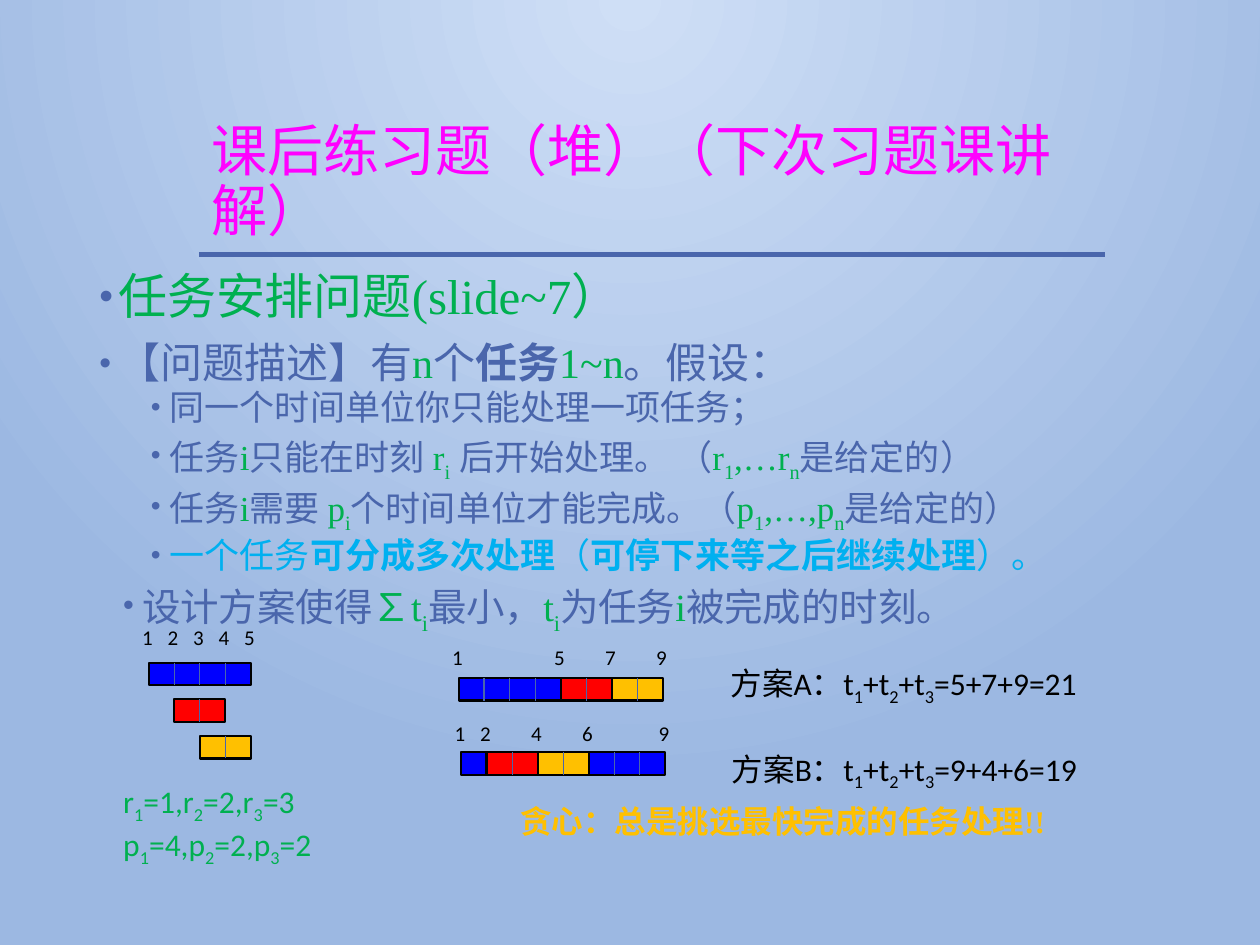
from dataclasses import dataclass

from lxml import etree
from pptx import Presentation
from pptx.dml.color import RGBColor
from pptx.enum.shapes import MSO_CONNECTOR, MSO_SHAPE
from pptx.enum.text import MSO_ANCHOR
from pptx.oxml import parse_xml
from pptx.oxml.ns import nsdecls, qn
from pptx.util import Inches, Pt


@dataclass(frozen=True)
class Theme:
    sky: str = "CFDFF6"
    haze: str = "9CB8E2"
    blue: str = "4A66AC"
    magenta: str = "FF00FF"
    green: str = "00B050"
    cyan: str = "00B0F0"
    black: str = "000000"
    gold: str = "FFC000"
    title_font: str = "Noto Sans CJK SC"
    body_font: str = "Times New Roman"
    label_font: str = "Calibri"
    title_size: int = 32
    note_size: int = 18
    tick_size: int = 12


THEME = Theme()

# Content: "_" lowers the next character; runs are (text, colour, bold)
TITLE = "课后练习题（堆）（下次习题课讲解）"
B, G, C = THEME.blue, THEME.green, THEME.cyan
# Each paragraph: kind, runs
BODY = [
    ("head", [("任务安排问题(slide~7）", G, False)]),
    ("problem", [("【问题描述】有", B, False), ("n", G, False), ("个", B, False),
                 ("任务", B, True), ("1~n", G, False), ("。假设：", B, False)]),
    ("rule", [("同一个时间单位你只能处理一项任务；", B, False)]),
    ("rule", [("任务", B, False), ("i", G, False), ("只能在时刻 ", B, False),
              ("r_i ", G, False), ("后开始处理。 （", B, False),
              ("r_1,…r_n", G, False), ("是给定的）", B, False)]),
    ("rule", [("任务", B, False), ("i", G, False), ("需要 ", B, False),
              ("p_i", G, False), ("个时间单位才能完成。（", B, False),
              ("p_1,…,p_n", G, False), ("是给定的）", B, False)]),
    ("rule", [("一个任务", C, False), ("可分成多次处理", C, True), ("（", C, False),
              ("可停下来等之后继续处理", C, True), ("）。", C, False)]),
    ("goal", [("设计方案使得", B, False), ("∑t_i", G, False), ("最小，", B, False),
              ("t_i", G, False), ("为任务", B, False), ("i", G, False),
              ("被完成的时刻。", B, False)]),
]
# kind: size, level, indent, space before, space after
BODY_STYLE = {
    "head": (28, 0, 0.19, 10, 0),
    "problem": (24, 0, 0.19, 10, 0),
    "rule": (20, 2, 0.6, 1.5, 3),
    "goal": (22, 1, 0.38, 1.5, 3),
}
JOB_COLOURS = {1: "0000FF", 2: "FF0000", 3: "FFC000"}
# Bars: (job, start time, duration, row)
TIMELINES = [
    {"left": 1.18, "top": 5.26, "tick_top": 4.91, "ticks": [1, 2, 3, 4, 5],
     "bars": [(1, 1, 4, 0), (2, 2, 2, 1), (3, 3, 2, 2)]},
    {"left": 3.64, "top": 5.38, "tick_top": 5.07, "ticks": [1, 5, 7, 9],
     "bars": [(1, 1, 4, 0), (2, 5, 2, 0), (3, 7, 2, 0)]},
    {"left": 3.66, "top": 5.97, "tick_top": 5.67, "ticks": [1, 2, 4, 6, 9],
     "bars": [(1, 1, 1, 0), (2, 2, 2, 0), (3, 4, 2, 0), (1, 6, 3, 0)]},
]
# Notes: left, top, width, height, lines, colour, font, bold
NOTES = [
    (0.88, 6.16, 2.36, 0.71, ["r_1=1,r_2=2,r_3=3", "p_1=4,p_2=2,p_3=2"],
     G, THEME.label_font, False),
    (5.7, 5.22, 3.64, 0.4, ["方案A：t_1+t_2+t_3=5+7+9=21"],
     THEME.black, THEME.label_font, False),
    (5.71, 5.9, 3.64, 0.4, ["方案B：t_1+t_2+t_3=9+4+6=19"],
     THEME.black, THEME.label_font, False),
    (4.03, 6.32, 5, 0.4, ["贪心：总是挑选最快完成的任务处理!!"],
     THEME.gold, THEME.body_font, True),
]
TIME_UNIT = 1.62 / 8
BAR_HEIGHT, ROW_GAP = 0.18, 0.29
TICK_BOX = 0.3


def rgb(value):
    return RGBColor.from_string(value)


def add_runs(paragraph, text, size, font, colour, bold=False):
    """Add text, lowering each character that follows an underscore."""
    plain, *indexed = text.split("_")
    pieces = [(plain, False)]
    for part in indexed:
        pieces += [(part[0], True), (part[1:], False)]
    for piece, lowered in pieces:
        if not piece:
            continue
        run = paragraph.add_run()
        run.text = piece
        run.font.size, run.font.name, run.font.bold = Pt(size), font, bold
        run.font.color.rgb = rgb(colour)
        if lowered:
            run.font._element.set("baseline", "-25000")


def add_box(slide, left, top, width, height, wrap=True):
    box = slide.shapes.add_textbox(Inches(left), Inches(top), Inches(width), Inches(height))
    box.text_frame.word_wrap = wrap
    return box.text_frame


def paragraph_at(frame, index):
    return frame.add_paragraph() if index else frame.paragraphs[0]


def add_bullet(paragraph, indent):
    props = paragraph._p.get_or_add_pPr()
    props.set("marL", str(Inches(indent)))
    props.set("indent", str(Inches(-0.15)))
    colour = etree.SubElement(props, qn("a:buClr"))
    etree.SubElement(colour, qn("a:srgbClr"), val=THEME.blue)
    etree.SubElement(props, qn("a:buSzPct"), val="80000")
    etree.SubElement(props, qn("a:buFont"), typeface="Arial")
    etree.SubElement(props, qn("a:buChar"), char="•")


def add_line(slide, x1, y1, x2, y2, weight):
    line = slide.shapes.add_connector(
        MSO_CONNECTOR.STRAIGHT, Inches(x1), Inches(y1), Inches(x2), Inches(y2))
    line.line.color.rgb, line.line.width = rgb(THEME.blue), Pt(weight)
    etree.SubElement(line._element.spPr, qn("a:effectLst"))


def add_timeline(slide, timeline):
    def x_of(time):
        return timeline["left"] + (time - 1) * TIME_UNIT

    for job, start, duration, row in timeline["bars"]:
        top = timeline["top"] + row * ROW_GAP
        bar = slide.shapes.add_shape(
            MSO_SHAPE.RECTANGLE, Inches(x_of(start)), Inches(top),
            Inches(duration * TIME_UNIT), Inches(BAR_HEIGHT))
        bar.shadow.inherit = False
        bar.fill.solid()
        bar.fill.fore_color.rgb = rgb(JOB_COLOURS[job])
        bar.line.color.rgb, bar.line.width = rgb(THEME.black), Pt(1.25)
        for time in range(start + 1, start + duration):
            add_line(slide, x_of(time), top, x_of(time), top + BAR_HEIGHT, 0.75)
    for time in timeline["ticks"]:
        frame = add_box(slide, x_of(time) - TICK_BOX / 2, timeline["tick_top"],
                        TICK_BOX, TICK_BOX, wrap=False)
        add_runs(frame.paragraphs[0], str(time), THEME.tick_size,
                 THEME.label_font, THEME.black)


def set_background(slide):
    fill = slide.background.fill
    fill.gradient()
    for stop, colour in zip(fill.gradient_stops, (THEME.sky, THEME.haze)):
        stop.color.rgb = rgb(colour)
    for stop, position in zip(fill.gradient_stops, (0, 1)):
        stop.position = position
    gradient = slide._element.find(".//" + qn("a:gradFill"))
    gradient.replace(gradient.find(qn("a:lin")), parse_xml(
        f'<a:path {nsdecls("a")} path="circle">'
        '<a:fillToRect l="43000" t="0" r="43000" b="100000"/></a:path>'))


def main():
    deck = Presentation()
    deck.slide_width, deck.slide_height = Inches(10), Inches(7.5)
    slide = deck.slides.add_slide(deck.slide_layouts[6])
    set_background(slide)

    # Title and rule below it
    add_line(slide, 1.58, 2.02, 8.77, 2.02, 2.5)
    title = add_box(slide, 1.58, 0.88, 7.76, 1.15)
    title.vertical_anchor = MSO_ANCHOR.MIDDLE
    title.paragraphs[0].line_spacing = 0.9
    add_runs(title.paragraphs[0], TITLE, THEME.title_size, THEME.title_font, THEME.magenta)

    # Problem statement
    body = add_box(slide, 0.65, 2.11, 8.2, 2.89)
    for index, (kind, runs) in enumerate(BODY):
        size, level, indent, before, after = BODY_STYLE[kind]
        paragraph = paragraph_at(body, index)
        paragraph.level, paragraph.line_spacing = level, 0.9
        paragraph.space_before, paragraph.space_after = Pt(before if index else 0), Pt(after)
        add_bullet(paragraph, indent)
        for text, colour, bold in runs:
            add_runs(paragraph, text, size, THEME.body_font, colour, bold)

    # Task timelines, then the notes beside them
    for timeline in TIMELINES:
        add_timeline(slide, timeline)
    for left, top, width, height, lines, colour, font, bold in NOTES:
        frame = add_box(slide, left, top, width, height)
        for index, text in enumerate(lines):
            add_runs(paragraph_at(frame, index), text, THEME.note_size, font, colour, bold)

    deck.save("out.pptx")


if __name__ == "__main__":
    main()
